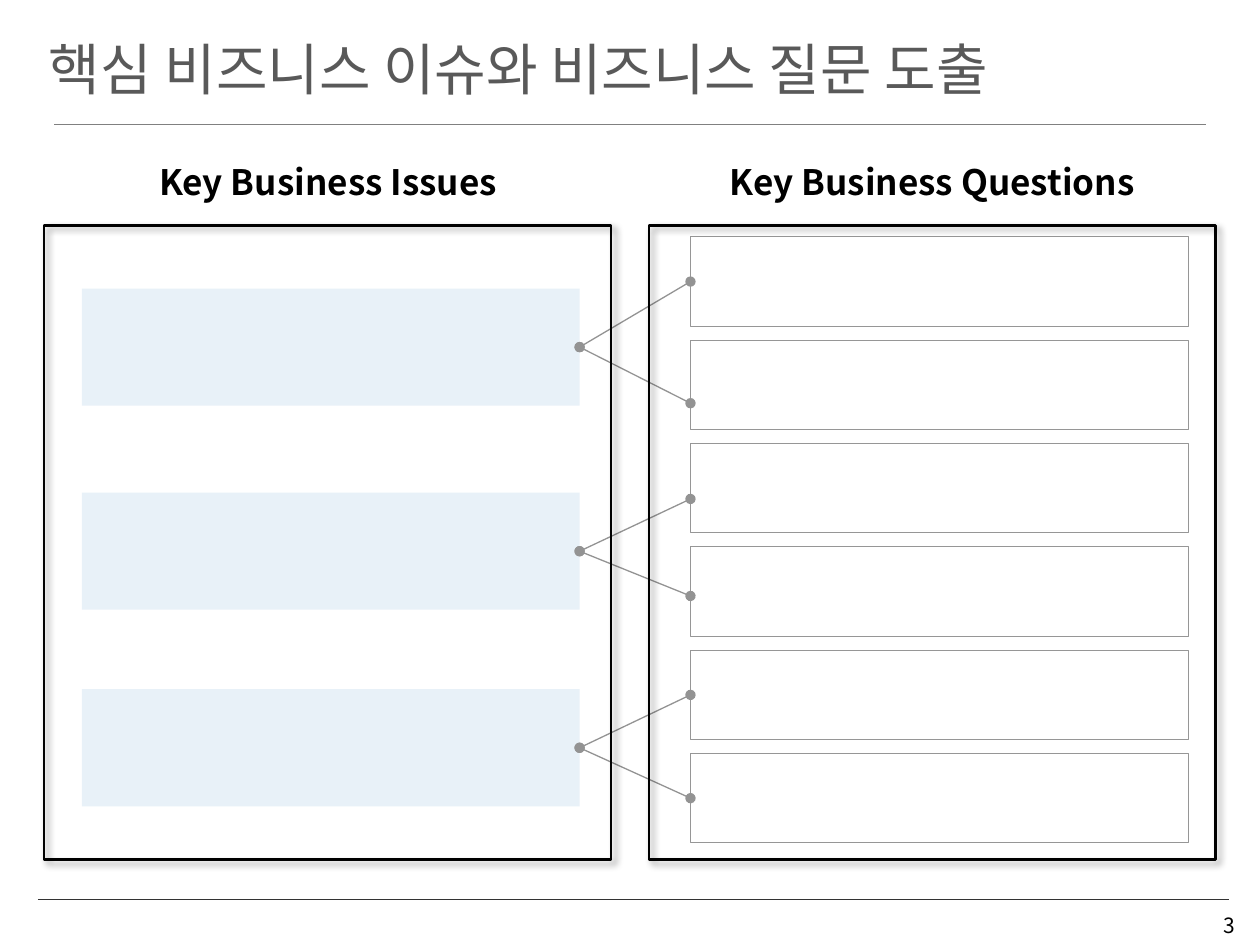
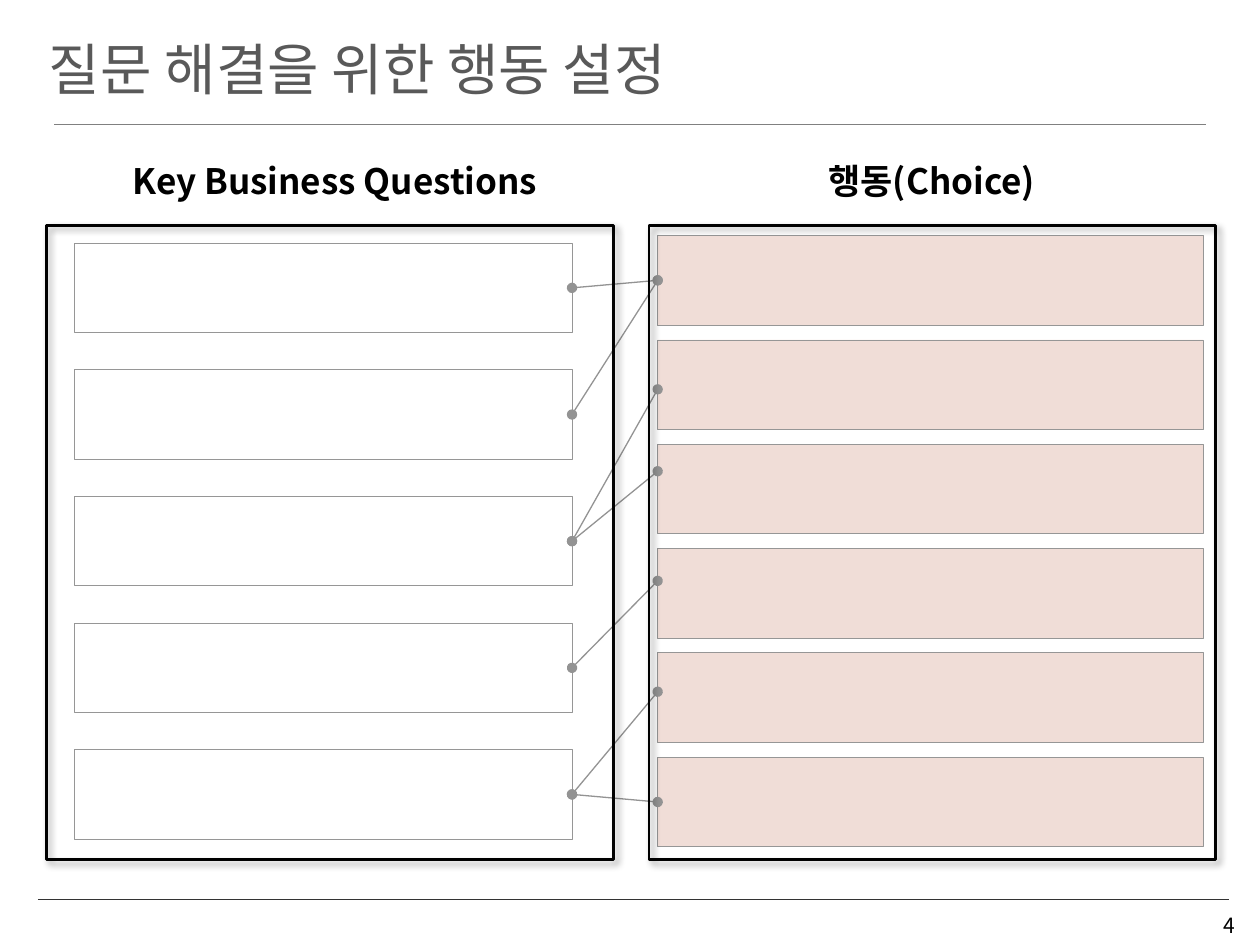
"""Build two slides that link business issues, questions and choices."""
from dataclasses import dataclass

from lxml import etree
from pptx import Presentation
from pptx.dml.color import RGBColor
from pptx.enum.shapes import MSO_CONNECTOR, MSO_SHAPE
from pptx.enum.text import MSO_ANCHOR, PP_ALIGN
from pptx.oxml.ns import qn
from pptx.util import Inches, Pt

RECTANGLE = MSO_SHAPE.RECTANGLE
STRAIGHT = MSO_CONNECTOR.STRAIGHT
MIDDLE = MSO_ANCHOR.MIDDLE
LEFT, CENTER, RIGHT = PP_ALIGN.LEFT, PP_ALIGN.CENTER, PP_ALIGN.RIGHT
LEFT_SIDE, RIGHT_SIDE = 1, 3


@dataclass(frozen=True)
class Theme:
    font: str = "Noto Sans CJK KR"
    title: str = "595959"
    ink: str = "000000"
    paper: str = "FFFFFF"
    issue: str = "E8F1F8"
    choice: str = "F0DDD7"
    border: str = "969696"
    link: str = "939393"
    title_rule: str = "808080"
    footer_rule: str = "333333"
    title_size: int = 32
    heading_size: int = 20
    number_size: int = 12
    thin: float = 0.5
    link_width: float = 0.75
    frame_width: float = 1.5


THEME = Theme()


def inches(*lengths):
    return [Inches(length) for length in lengths]


def rgb(colour):
    return RGBColor.from_string(colour)


def write(holder, text, size, colour, align, bold=False):
    frame = holder.text_frame
    frame.word_wrap = True
    frame.vertical_anchor = MIDDLE
    paragraph = frame.paragraphs[0]
    paragraph.alignment = align
    run = paragraph.add_run()
    run.text = text
    run.font.size = Pt(size)
    run.font.bold = bold
    run.font.color.rgb = rgb(colour)
    run.font.name = THEME.font
    east_asian = etree.SubElement(run.font._element, qn("a:ea"))
    east_asian.set("typeface", THEME.font)


def add_label(slide, area, text, size, colour, align):
    label = slide.shapes.add_textbox(*inches(*area))
    write(label, text, size, colour, align)


def add_box(slide, area, fill=None, border=None, width=THEME.thin):
    box = slide.shapes.add_shape(RECTANGLE, *inches(*area))
    box.shadow.inherit = False
    if fill:
        box.fill.solid()
        box.fill.fore_color.rgb = rgb(fill)
    else:
        box.fill.background()
    if border:
        box.line.color.rgb = rgb(border)
        box.line.width = Pt(width)
    else:
        box.line.fill.background()
    return box


def add_heading(slide, area, text):
    heading = add_box(slide, area, THEME.paper)
    write(heading, text, THEME.heading_size, THEME.ink, CENTER, bold=True)


def add_frame(slide, left):
    frame = add_box(slide, (left, 1.79, 4.5, 5.03), border=THEME.ink, width=THEME.frame_width)
    effects = frame.element.spPr.find(qn("a:effectLst"))
    shadow = etree.SubElement(effects, qn("a:outerShdw"), blurRad=str(Pt(4)),
                              dist=str(Pt(3)), dir="2700000", algn="tl", rotWithShape="0")
    colour = etree.SubElement(shadow, qn("a:srgbClr"), val=THEME.ink)
    etree.SubElement(colour, qn("a:alpha"), val="40000")


def add_line(slide, start, end, colour, width):
    line = slide.shapes.add_connector(STRAIGHT, *start, *end)
    line.line.color.rgb = rgb(colour)
    line.line.width = Pt(width)
    etree.SubElement(line.element.spPr, qn("a:effectLst"))
    return line


def add_link(slide, source, target, end_height=None):
    """Join two boxes, at the target's middle unless a height is given."""
    start = (source.left + source.width, source.top + source.height // 2)
    middle = target.top + target.height // 2
    end = (target.left, Inches(end_height) if end_height else middle)
    link = add_line(slide, start, end, THEME.link, THEME.link_width)
    link.begin_connect(source, RIGHT_SIDE)
    if end_height is None:
        link.end_connect(target, LEFT_SIDE)
    outline = link.element.spPr.find(qn("a:ln"))
    for tip in ("a:headEnd", "a:tailEnd"):
        etree.SubElement(outline, qn(tip), type="oval")


def spread(first, last, count):
    return [first + (last - first) * index / (count - 1) for index in range(count)]


def add_column(slide, left, tops, size, fill, border=None):
    return [add_box(slide, (left, top, *size), fill, border) for top in tops]


def add_page(deck, title, number):
    slide = deck.slides.add_slide(deck.slide_layouts[6])
    add_line(slide, inches(0.43, 0.99), inches(9.57, 0.99), THEME.title_rule, THEME.thin)
    add_line(slide, inches(0.3, 7.14), inches(9.75, 7.14), THEME.footer_rule, THEME.thin)
    add_label(slide, (7.37, 7.2, 2.53, 0.29), number, THEME.number_size, THEME.ink, RIGHT)
    add_label(slide, (0.29, 0.24, 8.19, 0.6), title, THEME.title_size, THEME.title, LEFT)
    return slide


def finish_page(slide, sources, targets, links, headings, frame_lefts):
    for source, target, end_height in links:
        add_link(slide, sources[source], targets[target], end_height)
    for area, text in headings:
        add_heading(slide, area, text)
    for left in frame_lefts:
        add_frame(slide, left)


def add_issues_page(deck):
    slide = add_page(deck, "핵심 비즈니스 이슈와 비즈니스 질문 도출", "3")
    issues = add_column(slide, 0.65, (2.29, 3.91, 5.47), (3.95, 0.93), THEME.issue)
    questions = add_column(slide, 5.48, spread(1.88, 5.98, 6), (3.95, 0.71),
                           THEME.paper, THEME.border)
    links = [(0, 0, None), (0, 1, 3.2), (1, 2, 3.96),
             (1, 3, 4.73), (2, 4, None), (2, 5, None)]
    headings = [((0.25, 1.19, 4.71, 0.5), "Key Business Issues"),
                ((4.96, 1.19, 4.88, 0.5), "Key Business Questions")]
    finish_page(slide, issues, questions, links, headings, (0.35, 5.15))


def add_choices_page(deck):
    slide = add_page(deck, "질문 해결을 위한 행동 설정", "4")
    questions = add_column(slide, 0.59, spread(1.93, 5.95, 5), (3.95, 0.71),
                           THEME.paper, THEME.border)
    choices = add_column(slide, 5.22, spread(1.87, 6.01, 6), (4.33, 0.71),
                         THEME.choice, THEME.border)
    links = [(0, 0, None), (1, 0, None), (2, 1, 3.09), (2, 2, 3.74),
             (3, 3, 4.61), (4, 4, 5.49), (4, 5, None)]
    headings = [((0.23, 1.18, 4.86, 0.5), "Key Business Questions"),
                ((6.23, 1.18, 2.33, 0.5), "행동(Choice)")]
    finish_page(slide, questions, choices, links, headings, (0.37, 5.15))


def main():
    deck = Presentation()
    deck.slide_width, deck.slide_height = inches(10, 7.5)
    add_issues_page(deck)
    add_choices_page(deck)
    deck.save("out.pptx")


if __name__ == "__main__":
    main()
